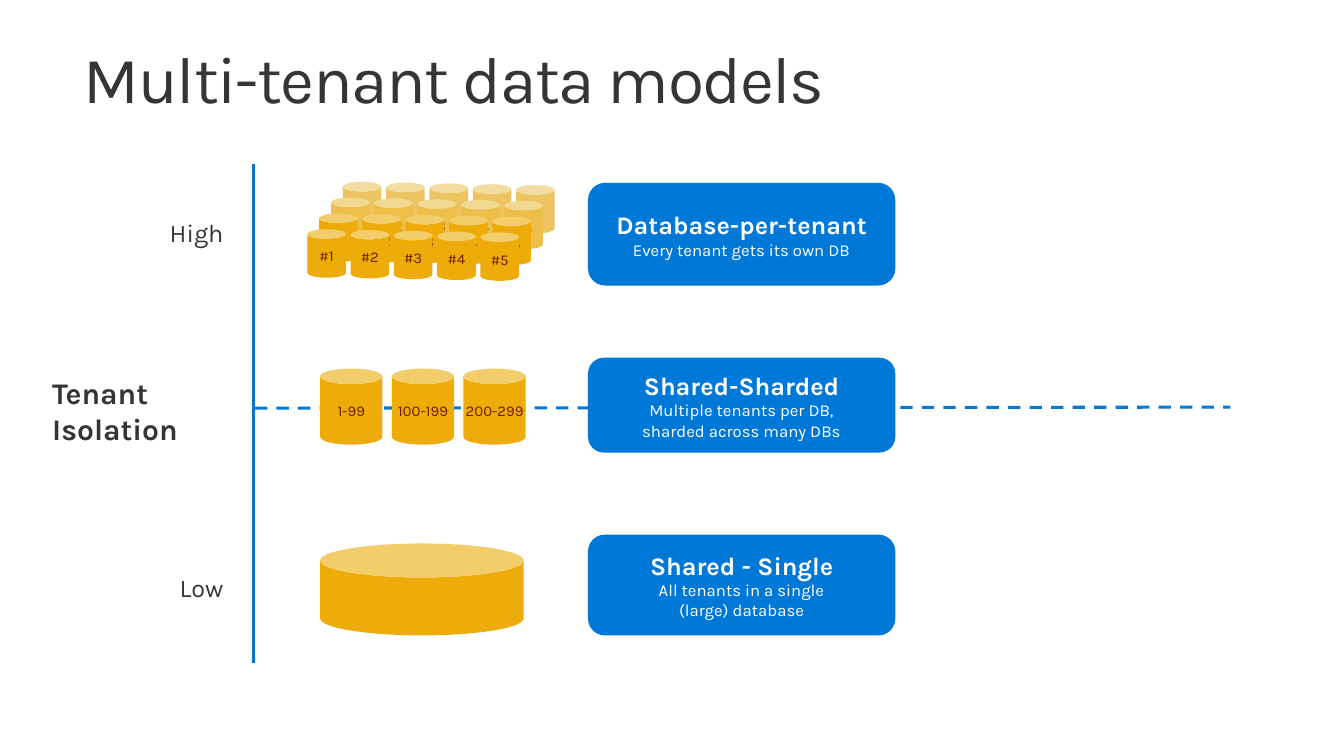
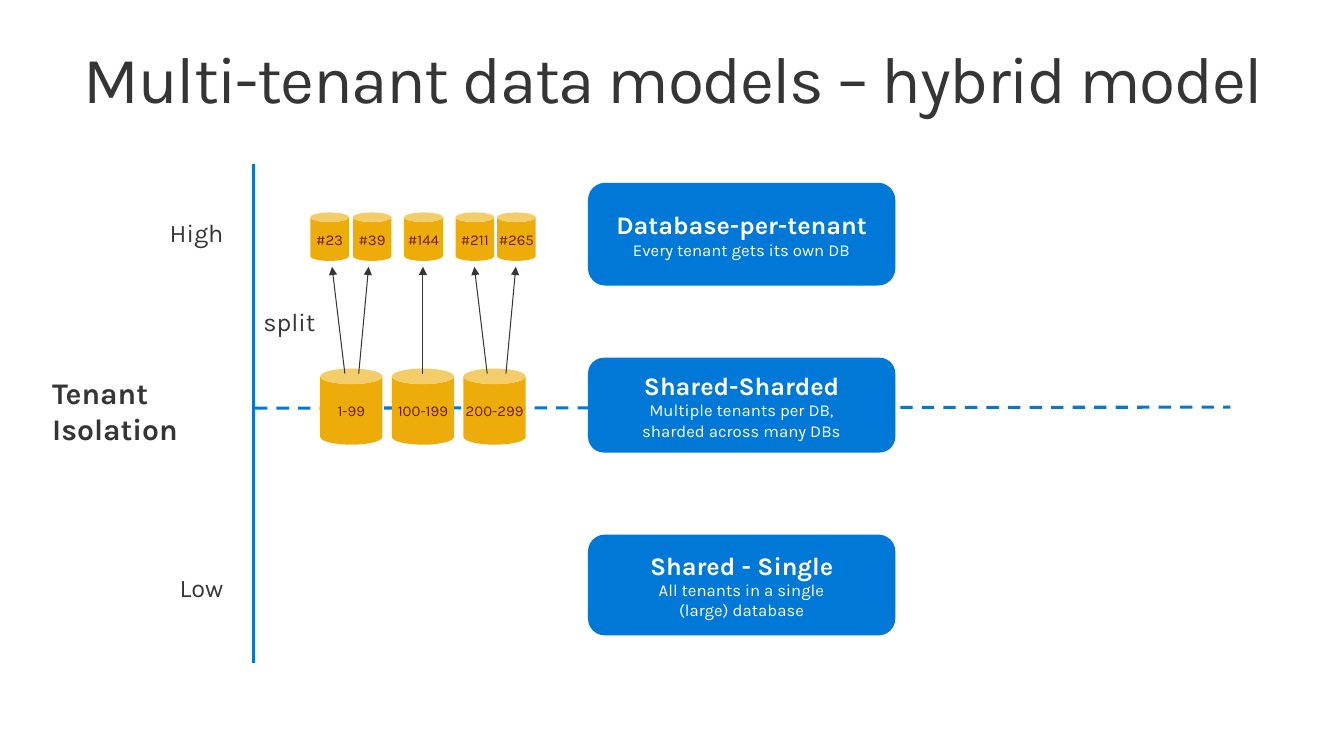
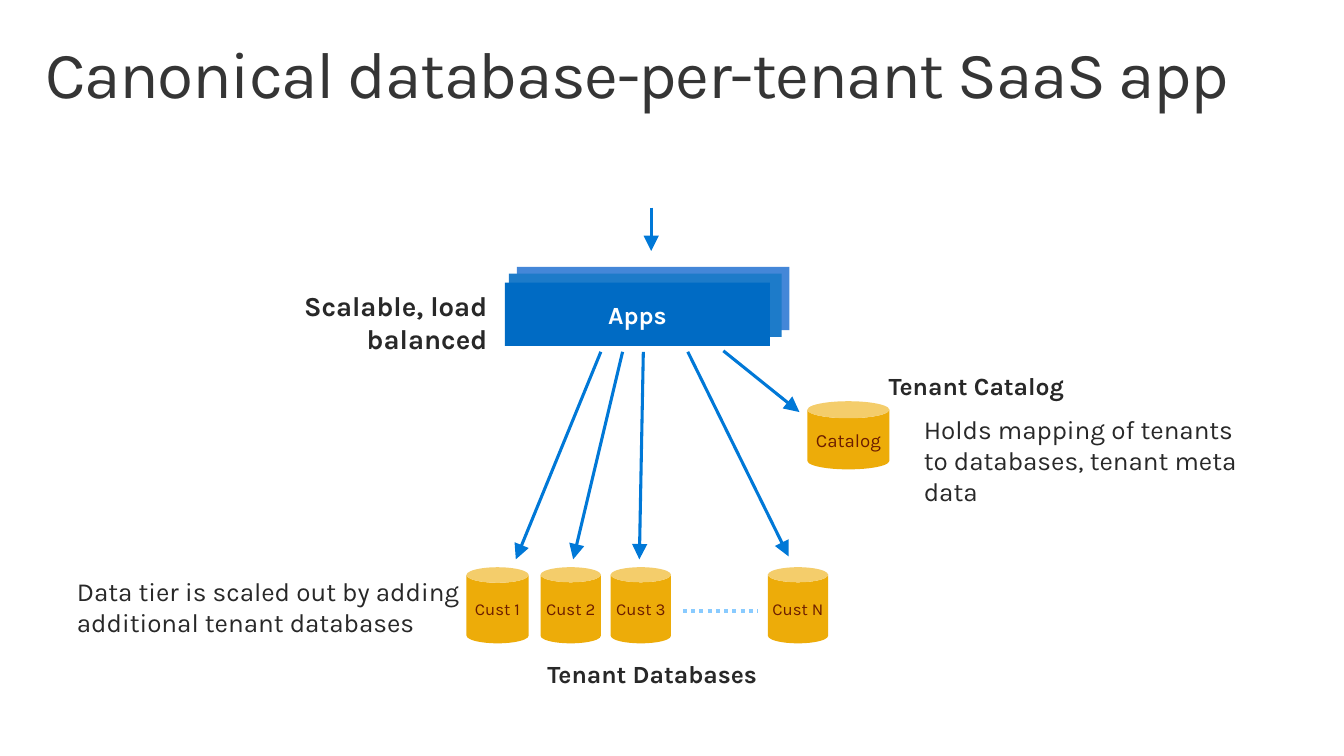
from copy import deepcopy
from dataclasses import dataclass

from lxml.etree import SubElement
from pptx import Presentation
from pptx.dml.color import RGBColor
from pptx.enum.dml import MSO_LINE
from pptx.enum.shapes import MSO_CONNECTOR, MSO_SHAPE
from pptx.enum.text import MSO_ANCHOR, MSO_AUTO_SIZE, PP_ALIGN
from pptx.oxml.ns import qn
from pptx.util import Inches, Pt


@dataclass(frozen=True)
class Theme:
    font: str = "Karla"
    # Colours
    text: str = "353535"
    dark_text: str = "282828"
    white: str = "FFFFFF"
    blue: str = "0078D7"
    light_blue: str = "89CBFF"
    app_layers: tuple = ("4487D8", "1D7BC9", "006BC4")
    gold: str = "EDAC09"
    can_rows: tuple = ("ECC562", "ECBE4A", "EDAC09", "EDAC09")
    can_text: str = "6C1D00"
    # Type sizes
    title: float = 48
    axis_title: float = 21.8
    label: float = 18.4
    caption: float = 12.2
    can_label: float = 10.9
    customer_label: float = 12.2
    catalog_label: float = 13.6
    note: float = 19
    heading: float = 18
    side_heading: float = 20
    # Line widths
    thin: float = 0.75
    thick: float = 2.25
    dotted: float = 3


THEME = Theme()

# Grid of square cells, ten to the inch
COLUMNS, ROWS = 136, 76.5


def cells(count):
    return Inches(count / 10)


def place(shape, box):
    shape.left, shape.top, shape.width, shape.height = map(cells, box)


def write(paragraph, text, size, color, bold=False, align=PP_ALIGN.LEFT):
    paragraph.text = text
    paragraph.alignment = align
    for run in paragraph.runs:
        run.font.name = THEME.font
        run.font.size = Pt(size)
        run.font.bold = bold
        run.font.color.rgb = RGBColor.from_string(color)
    # Line breaks take the size of the text around them
    for line_break in paragraph._p.findall(qn("a:br")):
        line_break.append(deepcopy(paragraph.runs[0]._r.rPr))


def set_margins(frame, horizontal, vertical):
    frame.margin_left = frame.margin_right = cells(horizontal)
    frame.margin_top = frame.margin_bottom = cells(vertical)


def add_title_slide(presentation, text, box):
    slide = presentation.slides.add_slide(presentation.slide_layouts[5])
    title = slide.shapes.title
    place(title, box)
    frame = title.text_frame
    frame.word_wrap = True
    frame.auto_size = MSO_AUTO_SIZE.NONE
    frame.vertical_anchor = MSO_ANCHOR.TOP
    set_margins(frame, 1.6, 1)
    paragraph = frame.paragraphs[0]
    write(paragraph, text, THEME.title, THEME.text)
    paragraph.line_spacing = 0.9
    paragraph.runs[0]._r.rPr.set("spc", "-100")
    return slide


def add_label(slide, text, box, size, color=THEME.text, bold=False,
              align=PP_ALIGN.LEFT):
    label = slide.shapes.add_textbox(*map(cells, box))
    frame = label.text_frame
    frame.word_wrap = True
    frame.auto_size = MSO_AUTO_SIZE.SHAPE_TO_FIT_TEXT
    write(frame.paragraphs[0], text, size, color, bold, align)


def add_filled(slide, kind, box, color):
    shape = slide.shapes.add_shape(kind, *map(cells, box))
    shape.shadow.inherit = False
    shape.fill.solid()
    shape.fill.fore_color.rgb = RGBColor.from_string(color)
    shape.line.fill.background()
    shape.text_frame.word_wrap = True
    shape.text_frame.vertical_anchor = MSO_ANCHOR.MIDDLE
    return shape


def add_can(slide, box, text="", size=THEME.can_label, color=THEME.gold):
    can = add_filled(slide, MSO_SHAPE.CAN, box, color)
    if text:
        set_margins(can.text_frame, 0, 0)
        write(can.text_frame.paragraphs[0], text, size, THEME.can_text,
              align=PP_ALIGN.CENTER)
    return can


def add_model_card(slide, top, height, heading, caption):
    card = add_filled(slide, MSO_SHAPE.ROUNDED_RECTANGLE,
                      (59.5, top, 31.1, height), THEME.blue)
    frame = card.text_frame
    set_margins(frame, 0, 0.5)
    write(frame.paragraphs[0], heading, THEME.label, THEME.white, True,
          PP_ALIGN.CENTER)
    write(frame.add_paragraph(), caption, THEME.caption, THEME.white,
          align=PP_ALIGN.CENTER)


def add_line(slide, start, end, color=THEME.blue, width=THEME.thick,
             dash=None, arrow_size=None):
    connector = slide.shapes.add_connector(
        MSO_CONNECTOR.STRAIGHT, *map(cells, (*start, *end)))
    connector.line.color.rgb = RGBColor.from_string(color)
    connector.line.width = Pt(width)
    if dash:
        connector.line.dash_style = dash
    properties = connector._element.spPr
    if arrow_size:
        SubElement(properties.find(qn("a:ln")), qn("a:tailEnd"),
                   type="triangle", w=arrow_size, len=arrow_size)
    SubElement(properties, qn("a:effectLst"))


def add_model_slide(presentation, title):
    """Isolation axis, model cards and shard cans shared by two slides."""
    slide = add_title_slide(presentation, title, (6.9, 3.7, 126, 9.1))

    # Isolation axis
    add_line(slide, (25.7, 67.1), (25.7, 16.6))
    add_line(slide, (25.8, 41.3), (124.5, 41.2), dash=MSO_LINE.DASH)
    add_label(slide, "Tenant Isolation", (4.3, 37.4, 16.5, 8.3),
              THEME.axis_title, bold=True)
    for text, top in (("High", 21.5), ("Low", 57.4)):
        add_label(slide, text, (7.5, top, 16.1, 4.1), THEME.label,
                  align=PP_ALIGN.RIGHT)

    # Model cards
    for card in (
        (18.5, 10.4, "Database-per-tenant", "Every tenant gets its own DB"),
        (36.2, 9.6, "Shared-Sharded",
         "Multiple tenants per DB,\nsharded across many DBs"),
        (54.1, 10.2, "Shared - Single",
         "All tenants in a single\n(large) database"),
    ):
        add_model_card(slide, *card)

    # Shards
    for index, text in enumerate(("1-99", "100-199", "200-299")):
        add_can(slide, (32.4 + 7.25 * index, 37.3, 6.3, 7.7), text)
    return slide


def build_data_models(presentation):
    slide = add_model_slide(presentation, "Multi-tenant data models")

    # Stacked rows of tenant databases, back to front
    for row, color in enumerate(THEME.can_rows):
        for column in range(5):
            left = 34.7 - 1.2 * row + 4.38 * column
            top = 18.4 + 1.6 * row + 0.08 * column
            text = f"#{column + 1}" if row else ""
            add_can(slide, (left, top, 3.9, 4.9), text, color=color)

    # Single large database
    large_can = add_can(slide, (32.4, 55, 20.6, 9.3))
    large_can.adjustments[0] = 0.37


def build_hybrid_model(presentation):
    slide = add_model_slide(presentation,
                            "Multi-tenant data models – hybrid model")
    add_label(slide, "split", (22.3, 30.5, 10.6, 4.1), THEME.label,
              align=PP_ALIGN.RIGHT)

    # Tenants split out of the shards: name, can left, arrow start and end
    for text, left, start, end in (
        ("#23", 31.4, 34.9, 33.6),
        ("#39", 35.7, 36.3, 37.3),
        ("#144", 40.9, 42.8, 42.8),
        ("#211", 46.1, 49.3, 48),
        ("#265", 50.3, 51.2, 52.2),
    ):
        add_can(slide, (left, 21.5, 3.9, 4.9), text)
        add_line(slide, (start, 37.8), (end, 27), THEME.text, THEME.thin,
                 arrow_size="med")


def build_saas_app(presentation):
    slide = add_title_slide(presentation, "Canonical database-per-tenant SaaS app",
                            (3, 3.2, 130, 10))

    # Tenant databases and catalog
    for text, left, width in (("Cust 1", 47.2, 6.3), ("Cust 2", 54.7, 6.1),
                              ("Cust 3", 61.8, 6.1), ("Cust N", 77.7, 6.1)):
        add_can(slide, (left, 57.4, width, 7.7), text, THEME.customer_label)
    add_line(slide, (69.1, 61.8), (76.7, 61.8), THEME.light_blue, THEME.dotted,
             MSO_LINE.ROUND_DOT)
    add_can(slide, (81.7, 40.6, 8.3, 6.9), "Catalog", THEME.catalog_label)

    # Requests into the apps, and from the apps to the databases
    for start, end in (
        ((65.9, 21), (65.9, 25.4)),
        ((60.8, 35.6), (52.2, 56.6)),
        ((63, 35.6), (58, 56.6)),
        ((65.1, 35.6), (64.7, 56.6)),
        ((69.6, 35.6), (79.8, 56.3)),
        ((73.2, 35.5), (80.9, 41.7)),
    ):
        add_line(slide, start, end, arrow_size="lg")

    # Layered apps, back to front
    layers = ((52.3, 27, 27.6), (51.5, 27.7, 27.6), (51.1, 28.6, 26.8))
    for (left, top, width), color in zip(layers, THEME.app_layers):
        app = add_filled(slide, MSO_SHAPE.RECTANGLE, (left, top, width, 6.4), color)
    write(app.text_frame.paragraphs[0], "Apps", THEME.heading, THEME.white, True,
          PP_ALIGN.CENTER)

    # Headings and notes
    add_label(slide, "Scalable, load balanced", (18.3, 28.8, 32, 4.4),
              THEME.side_heading, THEME.dark_text, True, PP_ALIGN.RIGHT)
    for text, left, top in (("Tenant Catalog", 83.2, 37),
                            ("Tenant Databases", 50.4, 66.2)):
        add_label(slide, text, (left, top, 31.2, 4), THEME.heading,
                  THEME.dark_text, True, PP_ALIGN.CENTER)
    for text, box in (
        ("Data tier is scaled out by adding additional tenant databases",
         (6.8, 57.7, 43, 7.4)),
        ("Holds mapping of tenants to databases, tenant meta data",
         (92.5, 41.3, 35.6, 7.4)),
    ):
        add_label(slide, text, box, THEME.note, THEME.dark_text)


def main():
    presentation = Presentation()
    presentation.slide_width = cells(COLUMNS)
    presentation.slide_height = cells(ROWS)
    build_data_models(presentation)
    build_hybrid_model(presentation)
    build_saas_app(presentation)
    presentation.save("out.pptx")


if __name__ == "__main__":
    main()
